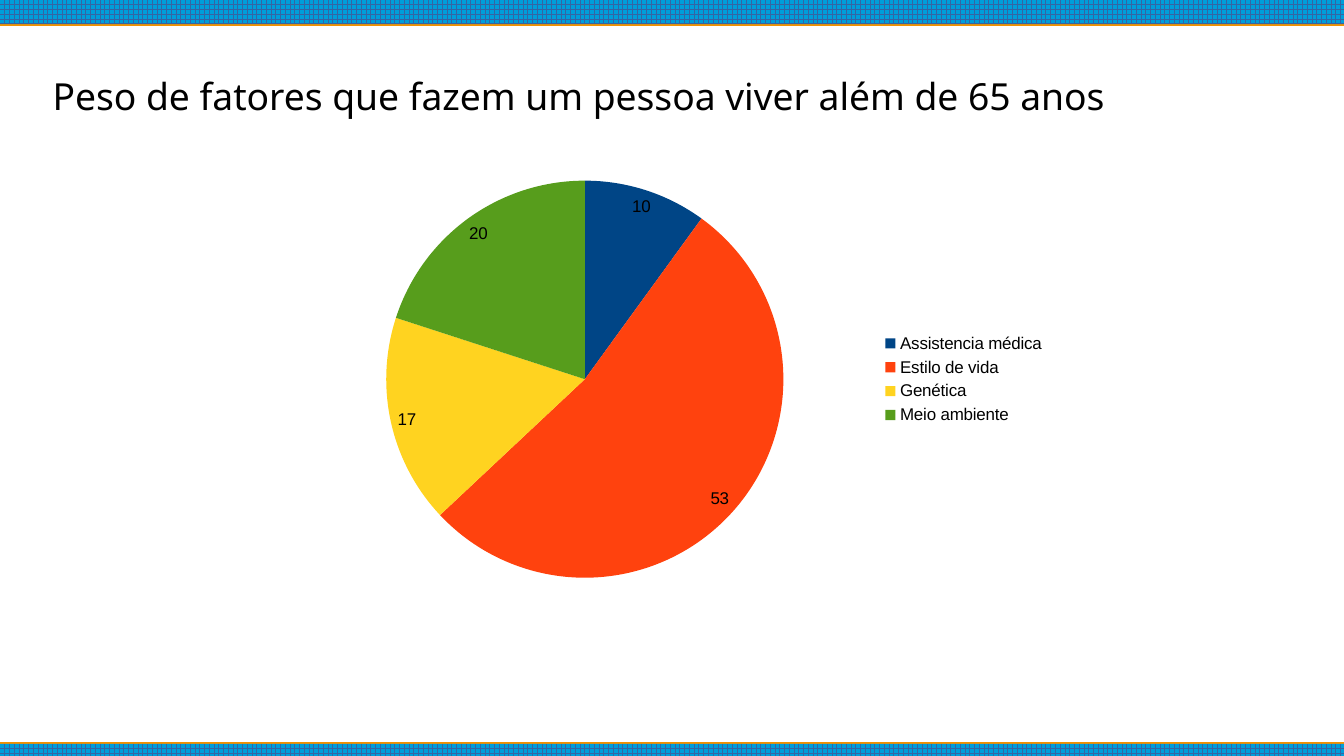
"""Build a slide with a pie chart of the factors behind a long life."""
from dataclasses import dataclass

from lxml import etree
from pptx import Presentation
from pptx import util as u
from pptx.chart import data as cd
from pptx.dml.color import RGBColor
from pptx.enum import chart as ch, dml, shapes, text
from pptx.oxml import ns

Pt = u.Pt
BLACK = RGBColor(0x00, 0x00, 0x00)
BLUE = RGBColor(0x00, 0x9E, 0xDA)
GRID = RGBColor(0x34, 0x65, 0xA4)
GOLD = RGBColor(0xF4, 0x91, 0x00)
NAVY = RGBColor(0x00, 0x45, 0x86)
RED = RGBColor(0xFF, 0x42, 0x0E)
YELLOW = RGBColor(0xFF, 0xD3, 0x20)
GREEN = RGBColor(0x57, 0x9D, 0x1C)

WIDTH, HEIGHT = 793.44, 446.4


@dataclass
class Band:
    top: float
    height: float
    shift: float


@dataclass
class Factor:
    name: str
    weight: int
    color: RGBColor


BANDS = [Band(0, 14.2, 1.1), Band(439.2, 7.2, -0.9)]
FACTORS = [
    Factor("Assistencia médica", 10, NAVY),
    Factor("Estilo de vida", 53, RED),
    Factor("Genética", 17, YELLOW),
    Factor("Meio ambiente", 20, GREEN),
]
PLOT = {"x": 0.12, "y": 0.04, "w": 0.53, "h": 0.92}


def add_bar(slide, top: float, height: float):
    """Add a full-width bar without line or shadow."""
    bar = slide.shapes.add_shape(
        shapes.MSO_SHAPE.RECTANGLE, 0, Pt(top), Pt(WIDTH), Pt(height))
    bar.shadow.inherit = False
    bar.line.fill.background()
    return bar


def draw_band(slide, band: Band) -> None:
    """Draw a grid band over its gold edge."""
    edge = add_bar(slide, band.top + band.shift, band.height)
    edge.fill.solid()
    edge.fill.fore_color.rgb = GOLD
    fill = add_bar(slide, band.top, band.height).fill
    fill.patterned()
    fill.pattern = dml.MSO_PATTERN.LARGE_GRID
    fill.fore_color.rgb = GRID
    fill.back_color.rgb = BLUE


def write_title(slide, words: str) -> None:
    """Place and format the title."""
    title = slide.shapes.title
    title.left, title.top = Pt(28.2), Pt(38.3)
    title.width, title.height = Pt(725.76), Pt(36)
    frame = title.text_frame
    frame.text = words
    frame.word_wrap = True
    frame.auto_size = text.MSO_AUTO_SIZE.SHAPE_TO_FIT_TEXT
    frame.vertical_anchor = text.MSO_ANCHOR.MIDDLE
    frame.margin_left = frame.margin_right = Pt(2.88)
    frame.margin_top = frame.margin_bottom = Pt(2.88)
    line = frame.paragraphs[0]
    line.alignment = text.PP_ALIGN.LEFT
    font = line.runs[0].font
    font.name, font.size = "Noto Sans", Pt(22)
    font.color.rgb = BLACK


def set_font(font) -> None:
    """Give chart text its look."""
    font.name, font.size = "Arial", Pt(10)
    font.color.rgb = BLACK


def set_plot(chart) -> None:
    """Fix the inner plot area as shares of the chart frame."""
    area = chart.plots[0]._element.getparent()
    for old in area.findall(ns.qn("c:layout")):
        area.remove(old)
    layout = etree.Element(ns.qn("c:layout"))
    area.insert(0, layout)
    manual = etree.SubElement(layout, ns.qn("c:manualLayout"))
    parts = {"layoutTarget": "inner", "xMode": "edge", "yMode": "edge", **PLOT}
    for tag, value in parts.items():
        etree.SubElement(manual, ns.qn(f"c:{tag}")).set("val", str(value))


def draw_pie(slide) -> None:
    """Draw the factors as a pie with values and legend."""
    data = cd.CategoryChartData()
    data.categories = [factor.name for factor in FACTORS]
    data.add_series("Series 1", [factor.weight for factor in FACTORS])
    for number in (2, 3):
        data.add_series(f"Series {number}", [None] * len(FACTORS))
    chart = slide.shapes.add_chart(
        ch.XL_CHART_TYPE.PIE, Pt(170.64), Pt(96.48), Pt(453.6), Pt(254.88),
        data).chart
    chart.has_title = False
    set_font(chart.font)
    chart.has_legend = True
    chart.legend.position = ch.XL_LEGEND_POSITION.RIGHT
    chart.legend.include_in_layout = False
    set_font(chart.legend.font)
    plot = chart.plots[0]
    plot.vary_by_categories = True
    for index, factor in enumerate(FACTORS):
        look = plot.series[0].points[index].format
        look.fill.solid()
        look.fill.fore_color.rgb = factor.color
        look.line.fill.background()
    chart.replace_data(data)
    labels = plot.series[0].data_labels
    labels.show_value = True
    labels.show_percentage = False
    labels.position = ch.XL_LABEL_POSITION.BEST_FIT
    set_font(labels.font)
    set_plot(chart)


def main() -> None:
    """Build and save the deck."""
    deck = Presentation()
    deck.slide_width, deck.slide_height = Pt(WIDTH), Pt(HEIGHT)
    slide = deck.slides.add_slide(deck.slide_layouts[5])
    for band in BANDS:
        draw_band(slide, band)
    draw_pie(slide)
    write_title(slide, "Peso de fatores que fazem um pessoa viver além de 65 anos")
    deck.save("out.pptx")


if __name__ == "__main__":
    main()
